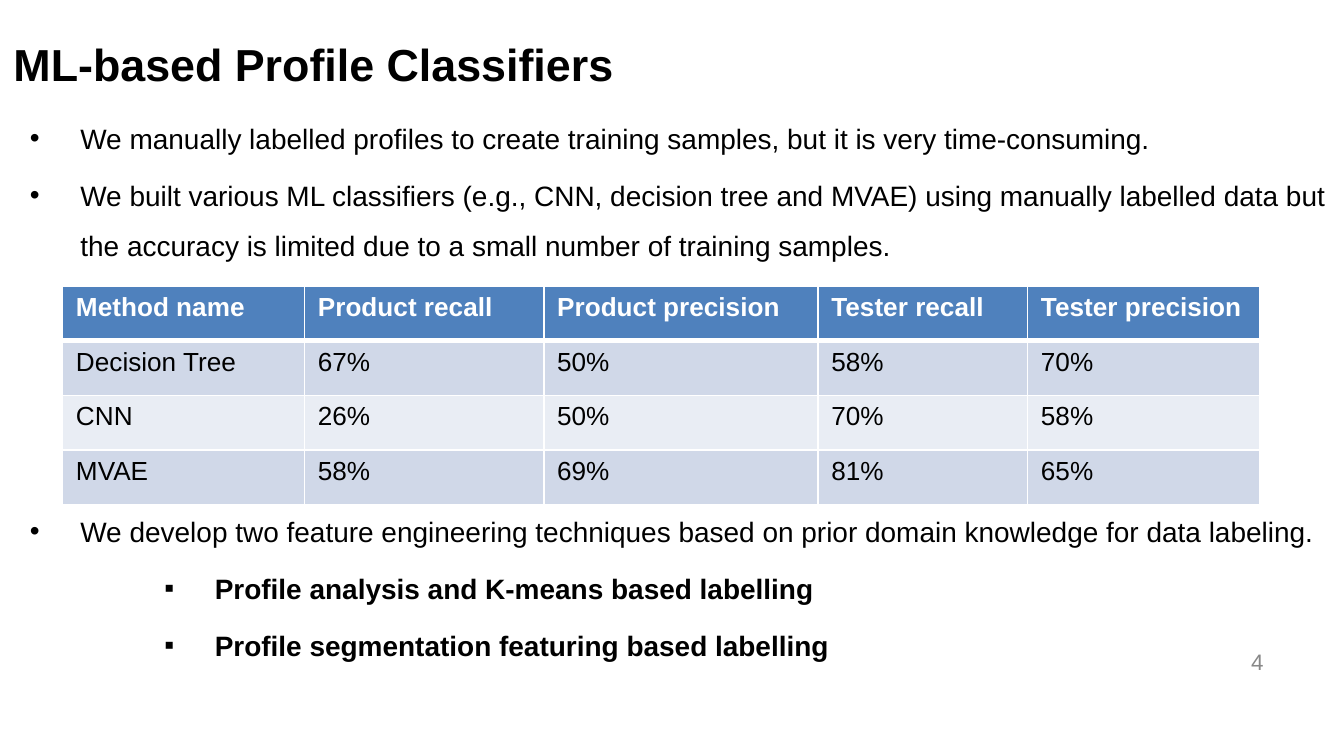
from dataclasses import dataclass

from lxml import etree
from pptx import Presentation
from pptx.dml.color import RGBColor
from pptx.enum.text import MSO_ANCHOR, MSO_AUTO_SIZE, PP_ALIGN
from pptx.oxml.ns import qn
from pptx.util import Pt

MIDDLE, TOP = MSO_ANCHOR.MIDDLE, MSO_ANCHOR.TOP
LEFT, RIGHT = PP_ALIGN.LEFT, PP_ALIGN.RIGHT
FIXED = MSO_AUTO_SIZE.NONE


@dataclass(frozen=True)
class Theme:
    font: str = "Arial"
    ink: str = "000000"
    paper: str = "FFFFFF"
    muted: str = "888888"
    header: str = "4F81BD"
    bands: tuple[str, str] = ("D0D8E8", "E9EDF4")
    title_size: float = 24
    body_size: float = 15
    table_size: float = 14
    number_size: float = 12


@dataclass(frozen=True)
class Box:
    left: float
    top: float
    width: float
    height: float

    def lengths(self) -> tuple:
        return Pt(self.left), Pt(self.top), Pt(self.width), Pt(self.height)


@dataclass(frozen=True)
class Bullet:
    text: str
    level: int = 0
    before: float = 3.6


@dataclass(frozen=True)
class BulletStyle:
    symbol: str
    indent: float
    bold: bool


THEME = Theme()
HANGING = 27
BULLET_STYLES = {0: BulletStyle("•", 36, False), 2: BulletStyle("▪", 108, True)}
TABLE_GAP = 125.8

BULLETS = [
    Bullet("We manually labelled profiles to create training samples, "
           "but it is very time-consuming.", before=0),
    Bullet("We built various ML classifiers (e.g., CNN, decision tree and MVAE) using manually "
           "labelled data but the accuracy is limited due to a small number of training samples."),
    Bullet("We develop two feature engineering techniques based on prior domain knowledge "
           "for data labeling.", before=TABLE_GAP),
    Bullet("Profile analysis and K-means based labelling", 2),
    Bullet("Profile segmentation featuring based labelling", 2),
]

COLUMN_WIDTHS = [129.6, 128.2, 146.9, 112.3, 124.6]
ROW_HEIGHT = 29.2
RESULTS = [
    ["Method name", "Product recall", "Product precision", "Tester recall", "Tester precision"],
    ["Decision Tree", "67%", "50%", "58%", "70%"],
    ["CNN", "26%", "50%", "70%", "58%"],
    ["MVAE", "58%", "69%", "81%", "65%"],
]


def apply(target, values: dict) -> None:
    for name, value in values.items():
        setattr(target, name, value)


def format_font(font, size: float, color: str, bold: bool = False) -> None:
    apply(font, {"name": THEME.font, "size": Pt(size), "bold": bold})
    font.color.rgb = RGBColor.from_string(color)


def format_frame(frame, anchor) -> None:
    apply(frame, {
        "word_wrap": True, "auto_size": FIXED, "vertical_anchor": anchor,
        "margin_left": Pt(7.2), "margin_right": Pt(7.2),
        "margin_top": Pt(3.6), "margin_bottom": Pt(3.6),
    })


def write_line(shape, text: str, size: float, color: str, alignment, bold: bool = False) -> None:
    frame = shape.text_frame
    format_frame(frame, MIDDLE)
    line = frame.paragraphs[0]
    apply(line, {"text": text, "alignment": alignment})
    format_font(line.runs[0].font, size, color, bold)


def add_title(slide, text: str, box: Box) -> None:
    title = slide.shapes.title
    apply(title, dict(zip(("left", "top", "width", "height"), box.lengths())))
    write_line(title, text, THEME.title_size, THEME.ink, LEFT, True)


def add_bullets(slide, bullets: list[Bullet], box: Box) -> None:
    frame = slide.shapes.add_textbox(*box.lengths()).text_frame
    format_frame(frame, TOP)
    for position, bullet in enumerate(bullets):
        style = BULLET_STYLES[bullet.level]
        item = frame.add_paragraph() if position else frame.paragraphs[0]
        properties = item._p.get_or_add_pPr()
        properties.set("marL", str(Pt(style.indent)))
        properties.set("indent", str(-Pt(HANGING)))
        color = etree.SubElement(properties, qn("a:buClr"))
        etree.SubElement(color, qn("a:srgbClr"), val=THEME.ink)
        etree.SubElement(properties, qn("a:buFont"), typeface=THEME.font)
        etree.SubElement(properties, qn("a:buChar"), char=style.symbol)
        apply(item, {
            "text": bullet.text, "level": bullet.level, "alignment": LEFT,
            "line_spacing": 1.5, "space_before": Pt(bullet.before),
        })
        format_font(item.runs[0].font, THEME.body_size, THEME.ink, style.bold)


def set_borders(cell, widths: dict[str, float]) -> None:
    properties = cell._tc.get_or_add_tcPr()
    for position, (side, width) in enumerate(widths.items()):
        border = etree.Element(qn(f"a:ln{side}"), w=str(Pt(width)))
        fill = etree.SubElement(border, qn("a:solidFill"))
        etree.SubElement(fill, qn("a:srgbClr"), val=THEME.paper)
        properties.insert(position, border)


def add_results(slide, rows: list[list[str]], left: float, top: float) -> None:
    box = Box(left, top, sum(COLUMN_WIDTHS), ROW_HEIGHT * len(rows))
    table = slide.shapes.add_table(len(rows), len(COLUMN_WIDTHS), *box.lengths()).table
    for column, width in zip(table.columns, COLUMN_WIDTHS):
        column.width = Pt(width)
    for row_index, values in enumerate(rows):
        table.rows[row_index].height = Pt(ROW_HEIGHT)
        is_header = row_index == 0
        background = THEME.header if is_header else THEME.bands[(row_index - 1) % 2]
        borders = {"L": 1, "R": 1, "T": 3 if row_index == 1 else 1, "B": 3 if is_header else 1}
        for column_index, value in enumerate(values):
            cell = table.cell(row_index, column_index)
            cell.text = value
            cell.fill.solid()
            cell.fill.fore_color.rgb = RGBColor.from_string(background)
            set_borders(cell, borders)
            ink = THEME.paper if is_header else THEME.ink
            format_font(cell.text_frame.paragraphs[0].runs[0].font,
                        THEME.table_size, ink, is_header)


def main() -> None:
    deck = Presentation()
    apply(deck, {"slide_width": Pt(720), "slide_height": Pt(405)})
    slide = deck.slides.add_slide(deck.slide_layouts[5])
    add_title(slide, "ML-based Profile Classifiers", Box(0, 0, 406.8, 67.7))
    page_number = slide.shapes.add_textbox(*Box(516.2, 343.4, 167.8, 21.6).lengths())
    write_line(page_number, "4", THEME.number_size, THEME.muted, RIGHT)
    add_bullets(slide, BULLETS, Box(0, 52.6, 720, 270.7))
    add_results(slide, RESULTS, 33.5, 153.4)
    deck.save("out.pptx")


if __name__ == "__main__":
    main()
